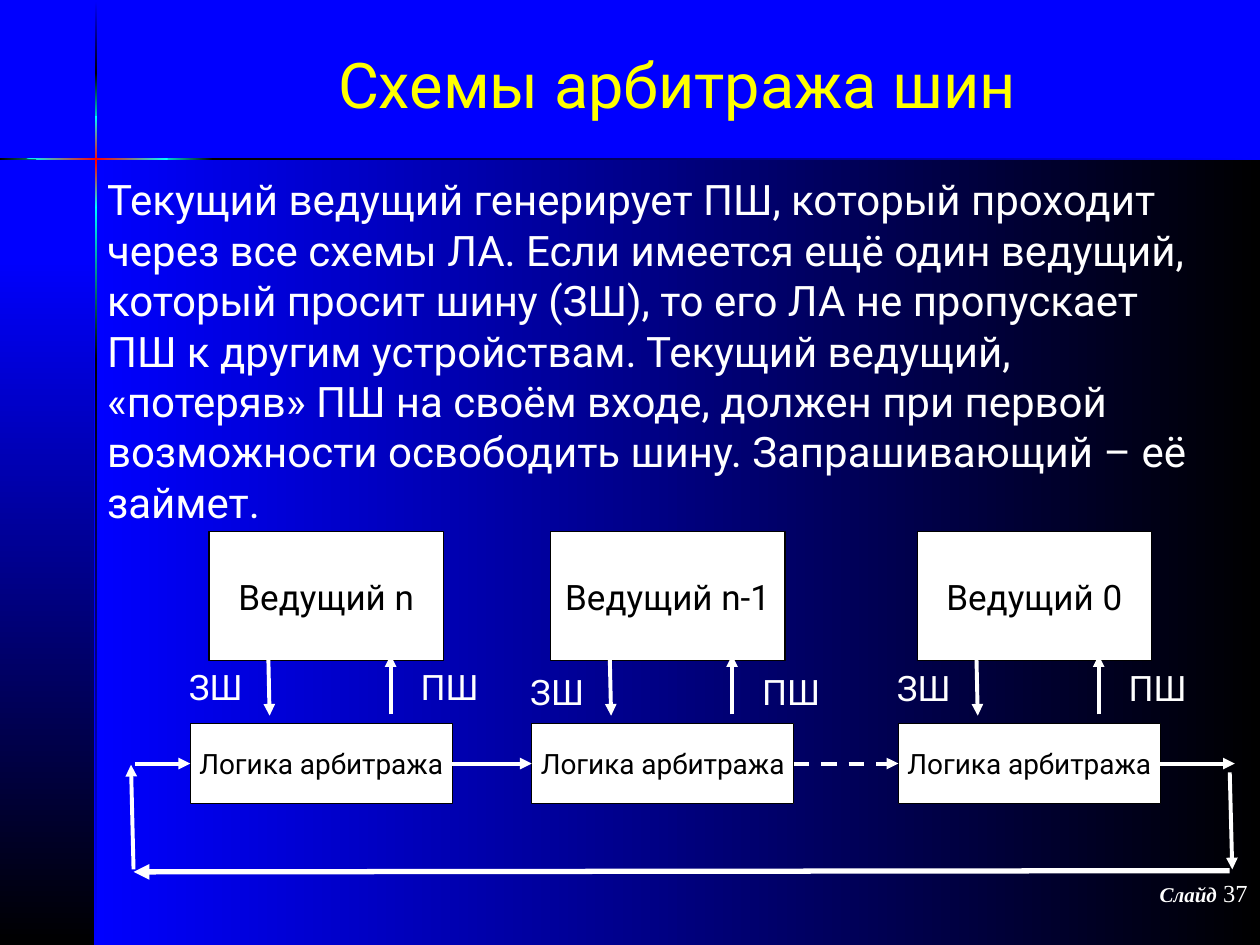
from copy import deepcopy

from lxml import etree
from pptx import Presentation
from pptx.dml.color import RGBColor
from pptx.enum.dml import MSO_LINE
from pptx.enum.shapes import MSO_CONNECTOR, MSO_SHAPE
from pptx.enum.text import MSO_ANCHOR, MSO_AUTO_SIZE, PP_ALIGN
from pptx.oxml.ns import qn
from pptx.util import Inches, Pt

# Content
TITLE = "Схемы арбитража шин"
BODY = ("Текущий ведущий генерирует ПШ, который проходит через все схемы ЛА. "
        "Если имеется ещё один ведущий, который просит шину (ЗШ), то его ЛА не "
        "пропускает ПШ к другим устройствам. Текущий ведущий, «потеряв» ПШ на "
        "своём входе, должен при первой возможности освободить шину. "
        "Запрашивающий – её займет.")
LOGIC, REQUEST, GRANT = "Логика арбитража", "ЗШ", "ПШ"
FOOTER, NUMBER = "Слайд", " 37"
# Master name, left edge of its logic box, top of its signal labels
STATIONS = [("Ведущий n", 1.51, 5.23), ("Ведущий n-1", 4.22, 5.27), ("Ведущий 0", 7.13, 5.24)]

THEME = {
    "font": "Roboto", "footer_font": "Times New Roman",
    "blue": "0000FF", "black": "000000", "white": "FFFFFF",
    "cyan": "00FFFF", "red": "FF0000", "yellow": "FFFF00",
    "title": 36, "body": 24, "master": 20, "logic": 16, "signal": 20,
    "footer": 12, "number": 14, "arrow": 2.25, "return": 3, "border": 0.75,
}

# Backdrop: left, top, width, height, gradient colours, runs downwards
BACKDROP = [
    (0.75, 1.25, 9.25, 6.25, ("blue", "black"), False),
    (0, 2.02, 0.75, 5.48, ("blue", "black"), True),
    (0.75, 0.01, 0.02, 0.58, ("blue", "black"), True),
    (0.75, 2.82, 0.02, 4.68, ("black", "blue"), True),
    (0.75, 1.63, 0.02, 1.22, ("cyan", "black"), True),
    (0.75, 0.58, 0.02, 0.44, ("black", "cyan"), True),
    (0.75, 0.92, 0.02, 0.73, ("cyan", "red", "cyan"), True),
    (0, 1.25, 0.61, 0.02, ("black", "cyan"), False),
    (1.67, 1.25, 8.33, 0.02, ("black", "blue"), False),
    (1.25, 1.25, 0.44, 0.02, ("cyan", "black"), False),
]
GLINT = [(0.21, 1.26), (0.6, 1.27), (1.33, 1.27), (1.33, 1.25), (0.6, 1.25)]

# Diagram rows and offsets from the left edge of a logic box
MASTER_TOP, MASTER_WIDTH, MASTER_HEIGHT, MASTER_OFFSET = 4.22, 1.86, 1.02, 0.15
LOGIC_TOP, LOGIC_WIDTH, LOGIC_HEIGHT = 5.74, 2.08, 0.64
LOGIC_MIDDLE = LOGIC_TOP + LOGIC_HEIGHT / 2
REQUEST_OFFSET, GRANT_OFFSET = 0.62, 1.59
REQUEST_LABEL, GRANT_LABEL = (-0.11, 0.65), (1.73, 0.69)


def color(name):
    return RGBColor.from_string(THEME[name])


def set_font(font, size, color_name, family="font"):
    font.name, font.size = THEME[family], Pt(THEME[size])
    font.color.rgb = color(color_name)


def place(shape, left, top, width, height):
    shape.left, shape.top = Inches(left), Inches(top)
    shape.width, shape.height = Inches(width), Inches(height)


def set_gradient(shape, names, downwards):
    shape.shadow.inherit = False
    shape.line.fill.background()
    shape.fill.gradient()
    shape.fill.gradient_angle = 270 if downwards else 0
    stop_list = shape.element.spPr.find(qn("a:gradFill")).find(qn("a:gsLst"))
    while len(stop_list) < len(names):
        stop_list.append(deepcopy(stop_list[0]))
    for index, (stop, name) in enumerate(zip(shape.fill.gradient_stops, names)):
        stop.position = index / (len(names) - 1)
        stop.color.rgb = color(name)


def add_box(slide, text, left, top, width, height, size):
    box = slide.shapes.add_shape(MSO_SHAPE.RECTANGLE, Inches(left), Inches(top),
                                 Inches(width), Inches(height))
    box.shadow.inherit = False
    box.fill.solid()
    box.fill.fore_color.rgb = color("white")
    box.line.color.rgb = color("black")
    box.line.width = Pt(THEME["border"])
    box.text_frame.word_wrap = False
    box.text_frame.vertical_anchor = MSO_ANCHOR.MIDDLE
    paragraph = box.text_frame.paragraphs[0]
    paragraph.text, paragraph.alignment = text, PP_ALIGN.CENTER
    set_font(paragraph.font, size, "black")
    return box


def add_label(slide, text, left, top, width):
    label = slide.shapes.add_textbox(Inches(left), Inches(top), Inches(width), Inches(0.44))
    label.text_frame.word_wrap = False
    label.text_frame.auto_size = MSO_AUTO_SIZE.SHAPE_TO_FIT_TEXT
    paragraph = label.text_frame.paragraphs[0]
    paragraph.text = text
    set_font(paragraph.font, "signal", "white")


def add_arrow(slide, start, end, weight="arrow", dashed=False, source=None, target=None):
    arrow = slide.shapes.add_connector(MSO_CONNECTOR.STRAIGHT, *map(Inches, start + end))
    if source is not None:
        arrow.begin_connect(source, 3)
    if target is not None:
        arrow.end_connect(target, 1)
    arrow.line.color.rgb = color("white")
    arrow.line.width = Pt(THEME[weight])
    if dashed:
        arrow.line.dash_style = MSO_LINE.DASH
    etree.SubElement(arrow.line._get_or_add_ln(), qn("a:tailEnd"), type="triangle")
    etree.SubElement(arrow.element.spPr, qn("a:effectLst"))


def add_backdrop(slide):
    slide.background.fill.solid()
    slide.background.fill.fore_color.rgb = color("blue")
    for left, top, width, height, names, downwards in BACKDROP:
        panel = slide.shapes.add_shape(MSO_SHAPE.RECTANGLE, Inches(left), Inches(top),
                                       Inches(width), Inches(height))
        set_gradient(panel, names, downwards)
    points = [(Inches(x), Inches(y)) for x, y in GLINT]
    builder = slide.shapes.build_freeform(*points[0])
    builder.add_line_segments(points[1:], close=True)
    set_gradient(builder.convert_to_shape(), ("cyan", "red", "cyan"), False)


def add_texts(slide):
    title, body = slide.placeholders
    for placeholder in (title, body):  # bring in front of the backdrop
        placeholder.element.getparent().append(placeholder.element)
    place(title, 0.75, 0.08, 9.25, 1.17)
    place(body, 0.75, 1.33, 9.01, 5.67)
    for placeholder, text, size, name in ((title, TITLE, "title", "yellow"),
                                          (body, BODY, "body", "white")):
        placeholder.text_frame.text = text
        placeholder.text_frame.auto_size = MSO_AUTO_SIZE.NONE
        set_font(placeholder.text_frame.paragraphs[0].font, size, name)
    title.text_frame.vertical_anchor = MSO_ANCHOR.MIDDLE
    title.text_frame.paragraphs[0].alignment = PP_ALIGN.CENTER
    paragraph = body.text_frame.paragraphs[0]
    paragraph.space_before = Pt(6)
    properties = paragraph._p.get_or_add_pPr()
    properties.set("marL", "0")
    properties.set("indent", "0")
    spacing = properties.find(qn("a:spcBef"))
    spacing.addnext(etree.Element(qn("a:buNone")))

    footer = slide.shapes.add_textbox(Inches(7.92), Inches(6.92), Inches(2.08), Inches(0.5))
    footer.text_frame.word_wrap = True
    paragraph = footer.text_frame.paragraphs[0]
    paragraph.alignment = PP_ALIGN.RIGHT
    for text, size, strong in ((FOOTER, "footer", True), (NUMBER, "number", False)):
        run = paragraph.add_run()
        run.text = text
        run.font.bold = run.font.italic = strong
        set_font(run.font, size, "white", "footer_font")


def add_diagram(slide):
    logic_boxes = []
    for name, left, label_top in STATIONS:
        add_box(slide, name, left + MASTER_OFFSET, MASTER_TOP, MASTER_WIDTH, MASTER_HEIGHT, "master")
        logic_boxes.append(add_box(slide, LOGIC, left, LOGIC_TOP, LOGIC_WIDTH, LOGIC_HEIGHT, "logic"))
        request, grant = left + REQUEST_OFFSET, left + GRANT_OFFSET
        add_arrow(slide, (request, 5.23), (request + 0.01, 5.68))
        add_arrow(slide, (grant, 5.67), (grant, 5.2))
        for text, (offset, width) in ((REQUEST, REQUEST_LABEL), (GRANT, GRANT_LABEL)):
            add_label(slide, text, left + offset, label_top, width)

    # Chain of logic boxes, then the loop back to the first one
    first, second, last = logic_boxes
    entry, leave = (1.07, LOGIC_MIDDLE), (9.8, LOGIC_MIDDLE)
    add_arrow(slide, entry, entry, target=first)
    add_arrow(slide, entry, entry, source=first, target=second)
    add_arrow(slide, entry, entry, dashed=True, source=second, target=last)
    add_arrow(slide, leave, leave, source=last)
    add_arrow(slide, (9.76, 6.13), (9.78, 6.9))
    add_arrow(slide, (9.76, 6.91), (1.06, 6.92), weight="return")
    add_arrow(slide, (1.06, 6.9), (1.04, 6.07))


def main():
    presentation = Presentation()
    presentation.slide_width, presentation.slide_height = Inches(10), Inches(7.5)
    slide = presentation.slides.add_slide(presentation.slide_layouts[1])
    add_backdrop(slide)
    add_texts(slide)
    add_diagram(slide)
    presentation.save("out.pptx")


if __name__ == "__main__":
    main()
